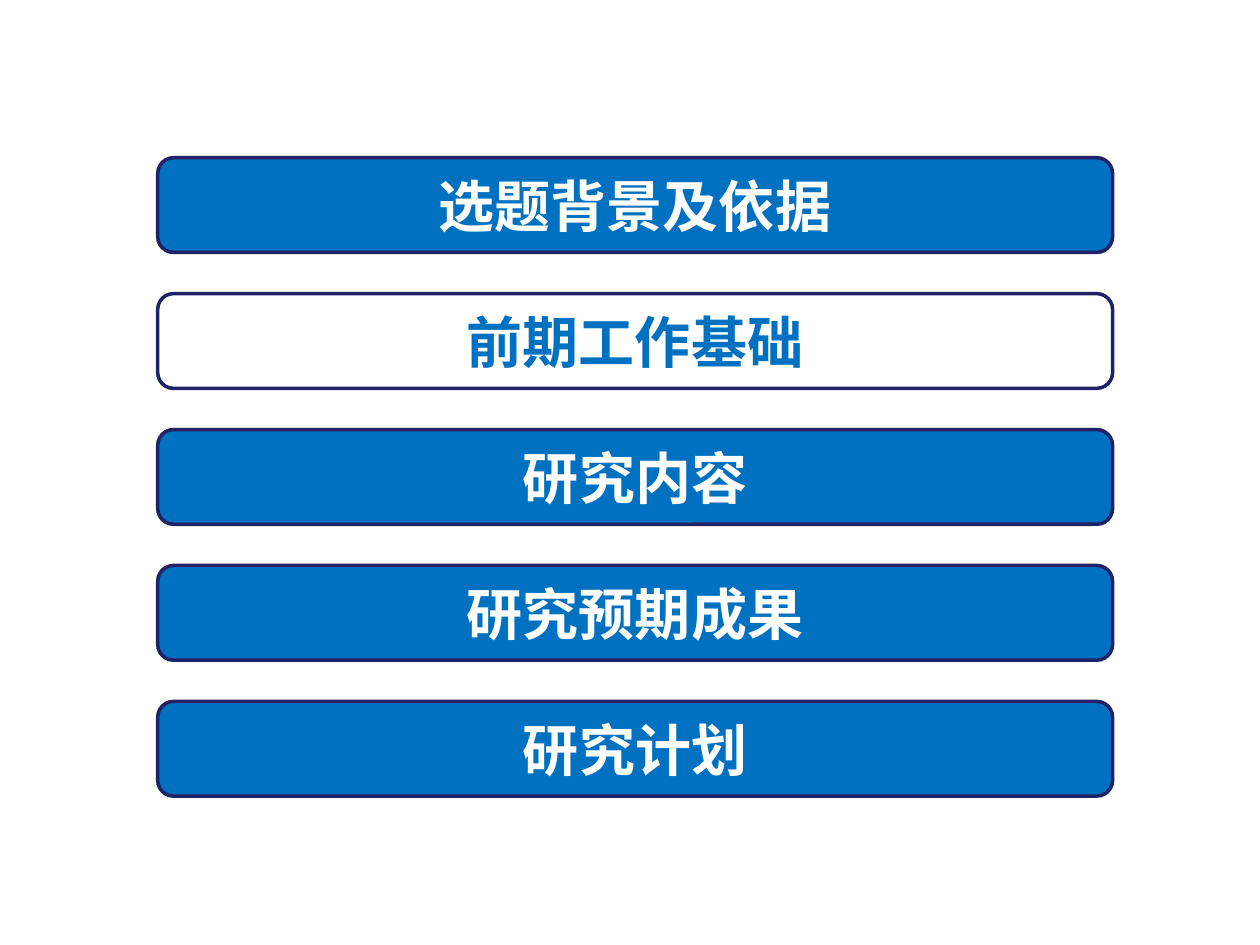
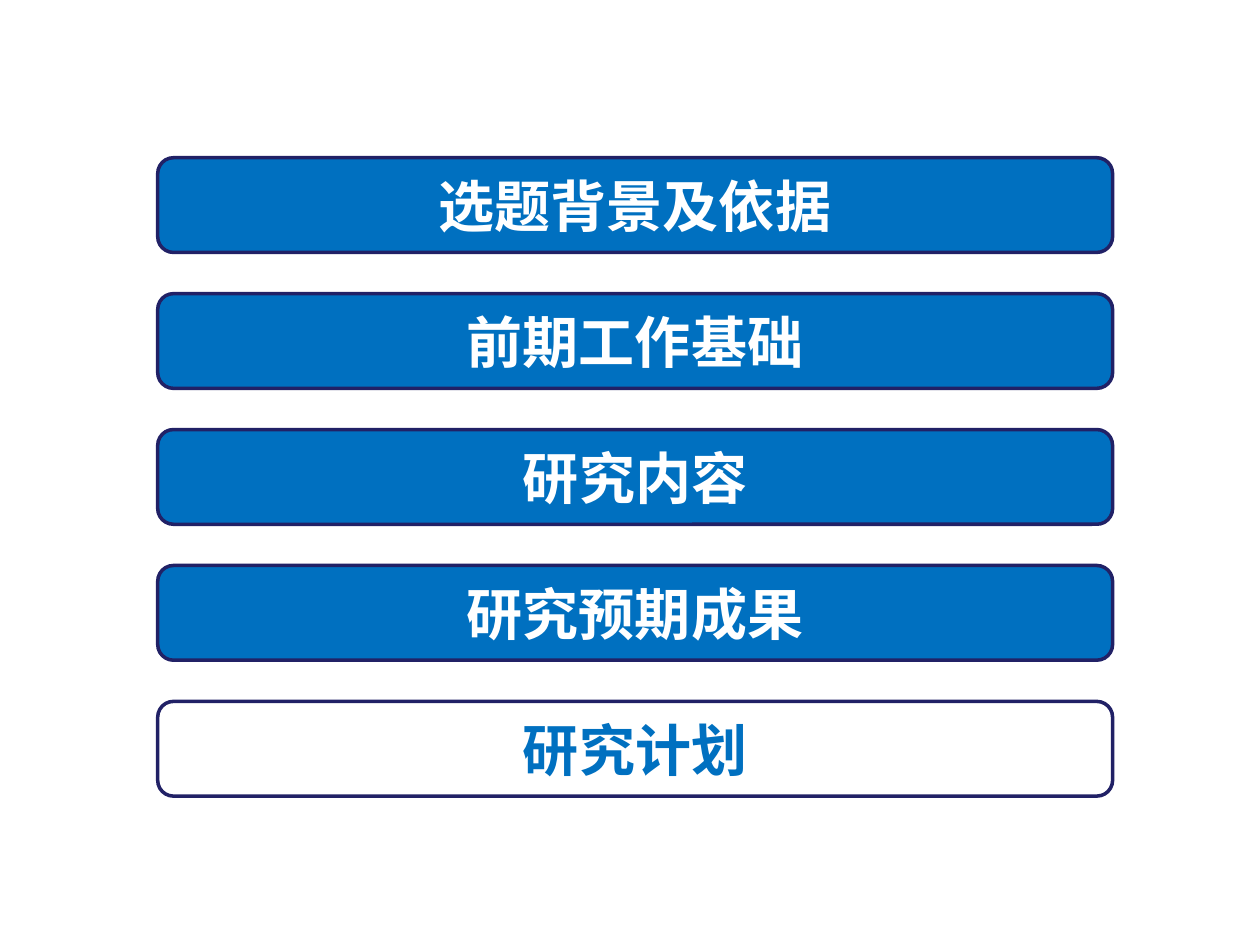
from lxml import etree
from pptx import Presentation
from pptx.dml.color import RGBColor
from pptx.enum.shapes import MSO_SHAPE
from pptx.enum.text import MSO_ANCHOR, PP_ALIGN
from pptx.oxml.ns import qn
from pptx.util import Cm, Pt

ROUNDED = MSO_SHAPE.ROUNDED_RECTANGLE
MIDDLE = MSO_ANCHOR.MIDDLE
CENTER = PP_ALIGN.CENTER
BLANK_LAYOUT = 6

COLORS = {"blue": "0070C0", "white": "FFFFFF", "navy": "212166"}
FONT = "Noto Sans CJK SC"
BAR_FORMAT = {"name": FONT, "size": Pt(32), "bold": True}

BAR_LEFT, BAR_TOP = 3.18, 3.18
BAR_WIDTH, BAR_HEIGHT = 19.25, 1.91
BAR_PITCH = 2.74

CHAPTERS = ["选题背景及依据", "前期工作基础", "研究内容", "研究预期成果", "研究计划"]
CURRENT_CHAPTERS = ["前期工作基础", "研究计划"]


class AgendaDeck:
    def __init__(self):
        self.deck = Presentation()
        self.deck.slide_width = Cm(25.4)
        self.deck.slide_height = Cm(19.05)
        self.page = None

    def color(self, name):
        return RGBColor.from_string(COLORS[name])

    def add_page(self):
        layout = self.deck.slide_layouts[BLANK_LAYOUT]
        self.page = self.deck.slides.add_slide(layout)

    def add_bar(self, text, top, fill, ink):
        box = self.page.shapes.add_shape(
            ROUNDED, Cm(BAR_LEFT), Cm(top), Cm(BAR_WIDTH), Cm(BAR_HEIGHT)
        )
        box.shadow.inherit = False
        box.fill.solid()
        box.fill.fore_color.rgb = self.color(fill)
        box.line.color.rgb = self.color("navy")
        box.line.width = Pt(2)
        box.text_frame.vertical_anchor = MIDDLE
        para = box.text_frame.paragraphs[0]
        para.alignment = CENTER
        self.add_span(para, text, ink)

    def add_span(self, para, text, ink):
        span = para.add_run()
        span.text = text
        for attribute, value in BAR_FORMAT.items():
            setattr(span.font, attribute, value)
        span.font.color.rgb = self.color(ink)
        east_asian = etree.SubElement(span._r.get_or_add_rPr(), qn("a:ea"))
        east_asian.set("typeface", FONT)

    def add_agenda(self, current):
        self.add_page()
        for index, chapter in enumerate(CHAPTERS):
            fill, ink = ("white", "blue") if chapter == current else ("blue", "white")
            self.add_bar(chapter, BAR_TOP + index * BAR_PITCH, fill, ink)


def main():
    agenda = AgendaDeck()
    for chapter in CURRENT_CHAPTERS:
        agenda.add_agenda(chapter)
    agenda.deck.save("out.pptx")


if __name__ == "__main__":
    main()
